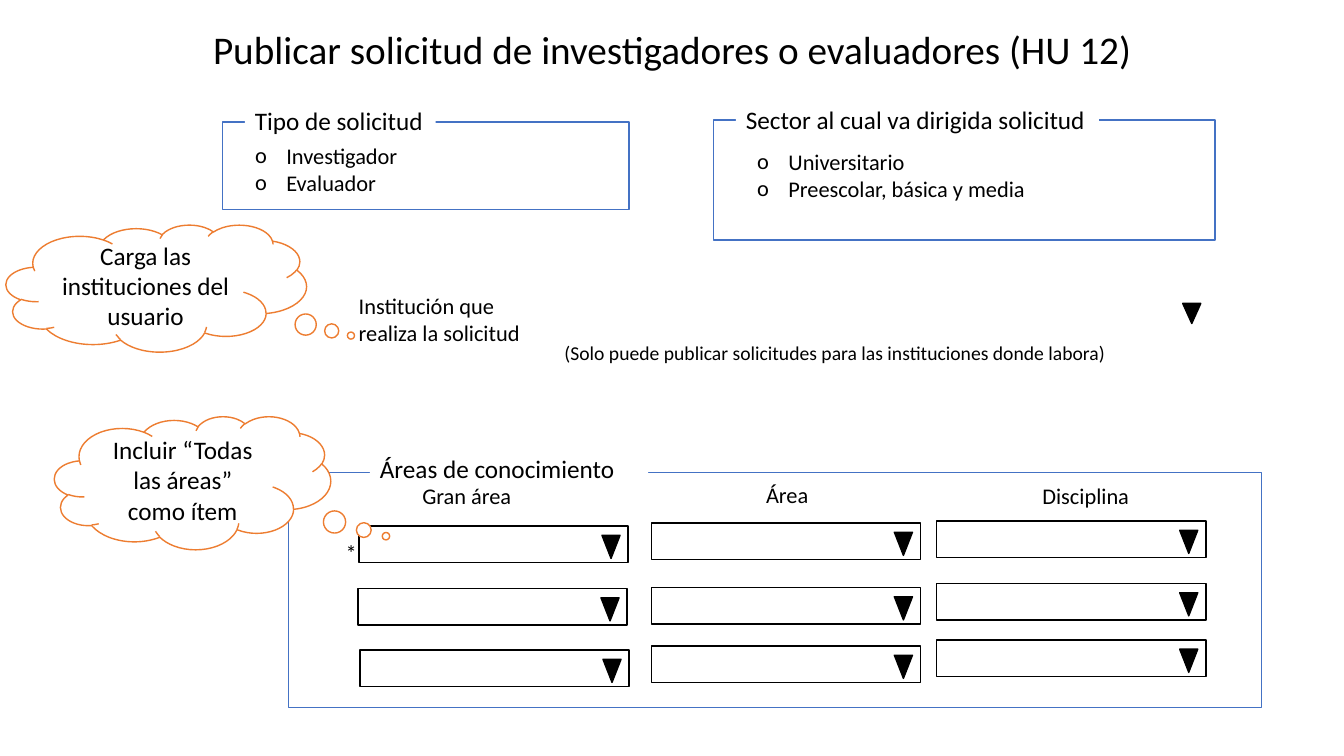
import pptx
import pptx.util
from lxml import etree
from pptx.dml.color import RGBColor
from pptx.enum.shapes import MSO_SHAPE
from pptx.enum.text import MSO_ANCHOR, MSO_AUTO_SIZE, PP_ALIGN
from pptx.oxml.ns import qn
from pptx.util import Inches

FONT = "Calibri"
BLACK, WHITE, BLUE, ORANGE = "000000", "FFFFFF", "4472C4", "ED7D31"

TITLE = ("Publicar solicitud de investigadores o evaluadores (HU 12)", (0, 0.2, 13.33, 0.57))
FRAMES = [
    ("Tipo de solicitud", (2.21, 1.21, 4.03, 0.87), (2.43, 1, 1.89, 0.4)),
    ("Sector al cual va dirigida solicitud", (7.08, 1.19, 4.97, 1.19), (7.3, 0.99, 3.6, 0.4)),
    ("Áreas de conocimiento", (2.86, 4.69, 9.65, 2.33), (3.67, 4.45, 2.76, 0.4)),
]
OPTION_LISTS = [
    (["Investigador", "Evaluador"], (2.43, 1.36, 1.63, 0.64)),
    (["Universitario", "Preescolar, básica y media"], (7.41, 1.42, 2.89, 0.64)),
]
LABELS = [
    ("Institución que realiza la solicitud", (3.46, 2.85, 2.04, 0.64), 16),
    ("(Solo puede publicar solicitudes para las instituciones donde labora)",
     (5.5, 3.33, 6.07, 0.34), 14),
    ("Gran área", (4.09, 4.73, 1.4, 0.37), 16),
    ("Área", (7.5, 4.72, 0.76, 0.37), 16),
    ("Disciplina", (10.24, 4.73, 1.28, 0.37), 16),
    ("*", (3.33, 5.3, 0.31, 0.37), 16),
]
DROPDOWNS = [
    [(3.56, 5.22), (3.55, 5.84), (3.57, 6.45)],
    [(6.46, 5.19), (6.46, 5.83), (6.46, 6.41)],
    [(9.29, 5.17), (9.29, 5.79), (9.29, 6.35)],
]
FIELD_SIZE = (2.67, 0.36)
ARROW_OFFSET = (2.41, 0.09)
ARROW_SIZE = (0.18, 0.23)
INSTITUTION_ARROW = (11.73, 3.01, 0.18, 0.2)
CLOUDS = [
    ("Carga las instituciones del usuario", (0.06, 2.23, 2.98, 1.26), (0.648, 0.373)),
    ("Incluir “Todas las áreas” como ítem", (0.54, 4.13, 2.74, 1.32), (0.7, 0.401)),
]


def color(value):
    return RGBColor.from_string(value)


def place(shape, area):
    shape.left, shape.top, shape.width, shape.height = map(Inches, area)


def draw(shapes, kind, area, fill=WHITE, line=None):
    shape = shapes.add_shape(kind, *map(Inches, area))
    shape.shadow.inherit = False
    shape.fill.solid()
    shape.fill.fore_color.rgb = color(fill)
    if line:
        shape.line.color.rgb = color(line)
        shape.line.width = pptx.util.Pt(1)
    else:
        shape.line.fill.background()
    return shape


def draw_arrow(shapes, area):
    arrow = draw(shapes, MSO_SHAPE.ISOSCELES_TRIANGLE, area, BLACK, BLACK)
    arrow.rotation = 180


def write(shape, text, size, align=PP_ALIGN.LEFT, anchor=MSO_ANCHOR.TOP, wrap=True):
    frame = shape.text_frame
    frame.text = text
    frame.auto_size = MSO_AUTO_SIZE.NONE
    frame.word_wrap = wrap
    frame.vertical_anchor = anchor
    for para in frame.paragraphs:
        para.alignment = align
        for span in para.runs:
            span.font.size = pptx.util.Pt(size)
            span.font.name = FONT
            span.font.color.rgb = color(BLACK)


def add_bullet(para):
    props = para._p.get_or_add_pPr()
    props.set("marL", str(Inches(0.31)))
    props.set("indent", str(-Inches(0.31)))
    etree.SubElement(props, qn("a:buFont")).set("typeface", FONT)
    etree.SubElement(props, qn("a:buChar")).set("char", "o")


def main():
    deck = pptx.Presentation()
    deck.slide_width, deck.slide_height = Inches(13.33), Inches(7.5)
    page = deck.slides.add_slide(deck.slide_layouts[3])
    shapes = page.shapes
    title, *lists = page.placeholders

    text, area = TITLE
    place(title, area)
    write(title, text, 28, PP_ALIGN.CENTER)

    for text, area, legend_area in FRAMES:
        draw(shapes, MSO_SHAPE.RECTANGLE, area, line=BLUE)
        legend = draw(shapes, MSO_SHAPE.RECTANGLE, legend_area)
        write(legend, text, 18)

    for options, (items, area) in zip(lists, OPTION_LISTS):
        place(options, area)
        write(options, "\n".join(items), 16, wrap=False)
        for para in options.text_frame.paragraphs:
            para.space_before = pptx.util.Pt(0)
            add_bullet(para)
        shapes.element.append(options.element)

    for text, area, size in LABELS:
        write(shapes.add_textbox(*map(Inches, area)), text, size)

    for column in DROPDOWNS:
        for left, top in column:
            dropdown = shapes.add_group_shape()
            draw(dropdown.shapes, MSO_SHAPE.RECTANGLE, (left, top, *FIELD_SIZE), line=BLACK)
            arrow_left, arrow_top = left + ARROW_OFFSET[0], top + ARROW_OFFSET[1]
            draw_arrow(dropdown.shapes, (arrow_left, arrow_top, *ARROW_SIZE))
    draw_arrow(shapes, INSTITUTION_ARROW)

    for text, area, tail in CLOUDS:
        cloud = draw(shapes, MSO_SHAPE.CLOUD_CALLOUT, area, line=ORANGE)
        cloud.adjustments[0], cloud.adjustments[1] = tail
        write(cloud, text, 18, PP_ALIGN.CENTER, MSO_ANCHOR.MIDDLE)

    deck.save("out.pptx")


if __name__ == "__main__":
    main()
